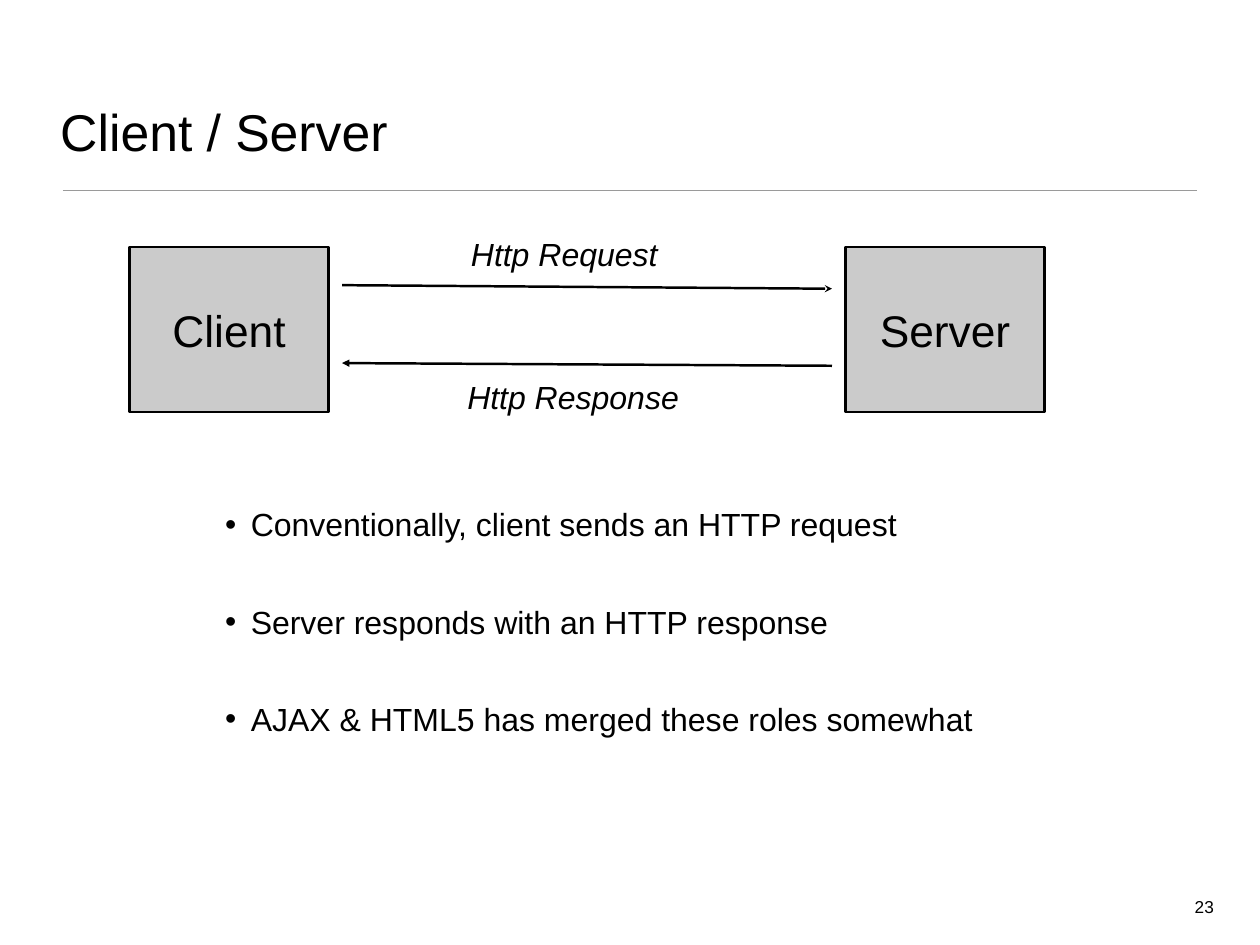
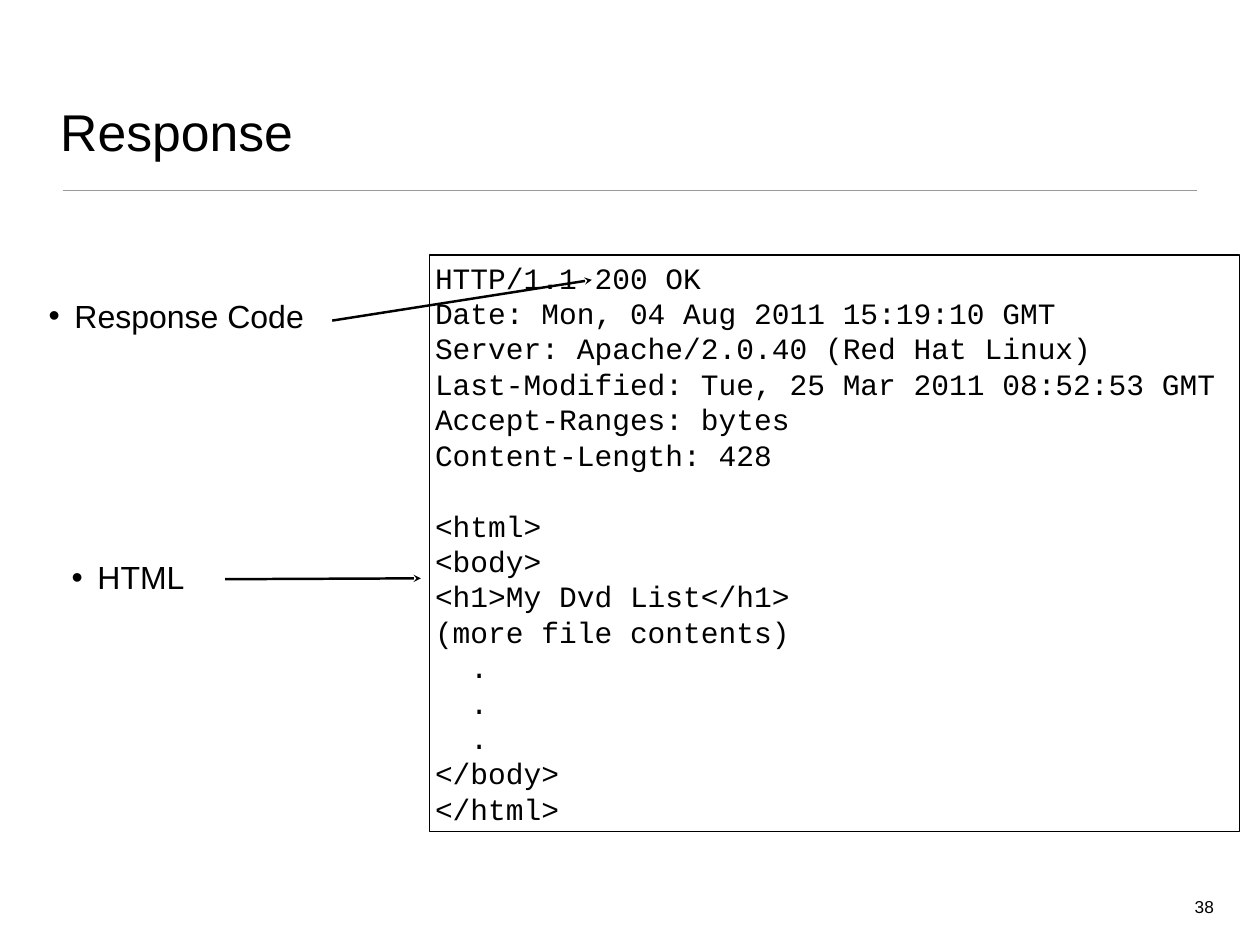
from pptx import Presentation
from pptx.util import Inches, Pt
from pptx.dml.color import RGBColor
from pptx.enum.shapes import MSO_SHAPE, MSO_CONNECTOR
from pptx.enum.text import MSO_ANCHOR, MSO_AUTO_SIZE, PP_ALIGN
from lxml.etree import SubElement
from pptx.oxml.ns import qn

BLACK, GREY, RULE = "000000", "CBCBCB", "9A9A9A"
SANS, MONO = "Arial", "Courier New"
TITLE = (0.62, 0.36, 12.97, 1.53)
PAGE = (13.42, 10.06, 0.34, 0.33)
INSET, HANG = 0.06, 0.29

CODE = """HTTP/1.1 200 OK
Date: Mon, 04 Aug 2011 15:19:10 GMT
Server: Apache/2.0.40 (Red Hat Linux)
Last-Modified: Tue, 25 Mar 2011 08:52:53 GMT
Accept-Ranges: bytes
Content-Length: 428

<html>
<body>
<h1>My Dvd List</h1>
(more file contents)
  .
  .
  .
</body>
</html>"""


def paint(part, color):
    part.rgb = RGBColor.from_string(color)


def place(shape, box):
    shape.left, shape.top, shape.width, shape.height = map(Inches, box)


def write(shape, text, size, align=PP_ALIGN.LEFT, anchor=MSO_ANCHOR.TOP,
          font=SANS, italic=False, wrap=True):
    frame = shape.text_frame
    frame.text = text
    frame.word_wrap = wrap
    frame.auto_size = MSO_AUTO_SIZE.NONE
    frame.vertical_anchor = anchor
    frame.margin_left = frame.margin_right = Inches(INSET)
    frame.margin_top = frame.margin_bottom = Inches(INSET)
    for par in frame.paragraphs:
        par.alignment = align
        for run in par.runs:
            run.font.name, run.font.size = font, Pt(size)
            run.font.italic = italic
            paint(run.font.color, BLACK)
        if not par.runs:
            SubElement(par._p, qn("a:endParaRPr"), sz=str(size * 100))


def label(slide, box, text, size, **style):
    shape = slide.shapes.add_textbox(*map(Inches, box))
    write(shape, text, size, **style)
    return shape


def bullets(shape, lines, indent=HANG):
    write(shape, "\n".join(lines), 26)
    for i, par in enumerate(shape.text_frame.paragraphs):
        par.space_before = Pt(48 if i else 0)
        props = par._p.get_or_add_pPr()
        props.set("marL", str(Inches(indent)))
        props.set("indent", str(-Inches(HANG)))
        SubElement(props, qn("a:buFont"), typeface=SANS)
        SubElement(props, qn("a:buChar"), char="•")


def panel(slide, box, fill=None, width=1):
    shape = slide.shapes.add_shape(MSO_SHAPE.RECTANGLE, *map(Inches, box))
    shape.shadow.inherit = False
    if fill:
        shape.fill.solid()
        paint(shape.fill.fore_color, fill)
    else:
        shape.fill.background()
    paint(shape.line.color, BLACK)
    shape.line.width = Pt(width)
    return shape


def line(slide, start, end, color=BLACK, width=2, head=None):
    link = slide.shapes.add_connector(
        MSO_CONNECTOR.STRAIGHT, *map(Inches, start + end))
    paint(link.line.color, color)
    link.line.width = Pt(width)
    if head:
        SubElement(link.line._get_or_add_ln(), qn("a:tailEnd"), type=head)
    SubElement(link.element.spPr, qn("a:effectLst"))
    return link


def start(deck, title, page, body):
    slide = deck.slides.add_slide(deck.slide_layouts[1])
    place(slide.shapes.title, TITLE)
    write(slide.shapes.title, title, 42, anchor=MSO_ANCHOR.BOTTOM)
    place(slide.placeholders[1], body)
    label(slide, PAGE, str(page), 14, align=PP_ALIGN.RIGHT, wrap=False)
    return slide


def share_rule(deck, slide):
    rule = line(slide, (0.71, 2.15), (13.51, 2.15), RULE, 1)
    deck.slide_layouts[1].element.cSld.spTree.append(rule.element)


def draw_flow(slide, box):
    x, y, w, h = box
    wide, high = 2.25, 1.86
    for left, name in ((x, "Client"), (x + w - wide, "Server")):
        node = panel(slide, (left, y + 0.2, wide, high), GREY, 2)
        write(node, name, 36, PP_ALIGN.CENTER, MSO_ANCHOR.MIDDLE)
    near, far = x + 2.4, x + 7.93
    line(slide, (near, y + 0.63), (far, y + 0.67), head="stealth")
    line(slide, (far, y + 1.54), (near, y + 1.51), head="triangle")
    for left, top, wide, text in ((3.62, 0, 2.58, "Http Request"),
                                  (3.64, h - 0.55, 2.74, "Http Response")):
        label(slide, (x + left, y + top, wide, 0.55), text, 26,
              align=PP_ALIGN.CENTER, anchor=MSO_ANCHOR.BOTTOM, italic=True)


def draw_code(slide, box):
    x, y, w, h = box
    write(panel(slide, box), CODE, 24, anchor=MSO_ANCHOR.BOTTOM, font=MONO)
    line(slide, (x - 1.1, y + 0.74), (x + 1.83, y + 0.28), head="stealth")
    line(slide, (x - 2.31, y + 3.66), (x - 0.1, y + 3.65), head="stealth")


def main():
    deck = Presentation()
    deck.slide_width, deck.slide_height = Inches(14.22), Inches(10.67)

    slide = start(deck, "Client / Server", 23, (1.99, 5.64, 9.97, 3.62))
    share_rule(deck, slide)
    draw_flow(slide, (1.46, 2.59, 10.33, 2.16))
    bullets(slide.placeholders[1], [
        "Conventionally, client sends an HTTP request",
        "Server responds with an HTTP response",
        "AJAX & HTML5 has merged these roles somewhat"], 0.78)

    slide = start(deck, "Response", 38, (0.49, 3.29, 3.6, 1.53))
    bullets(slide.placeholders[1], ["Response Code"])
    bullets(label(slide, (0.75, 6.24, 3.6, 1.53), "HTML", 26), ["HTML"])
    draw_code(slide, (4.85, 2.88, 9.14, 6.51))

    deck.save("out.pptx")


if __name__ == "__main__":
    main()
